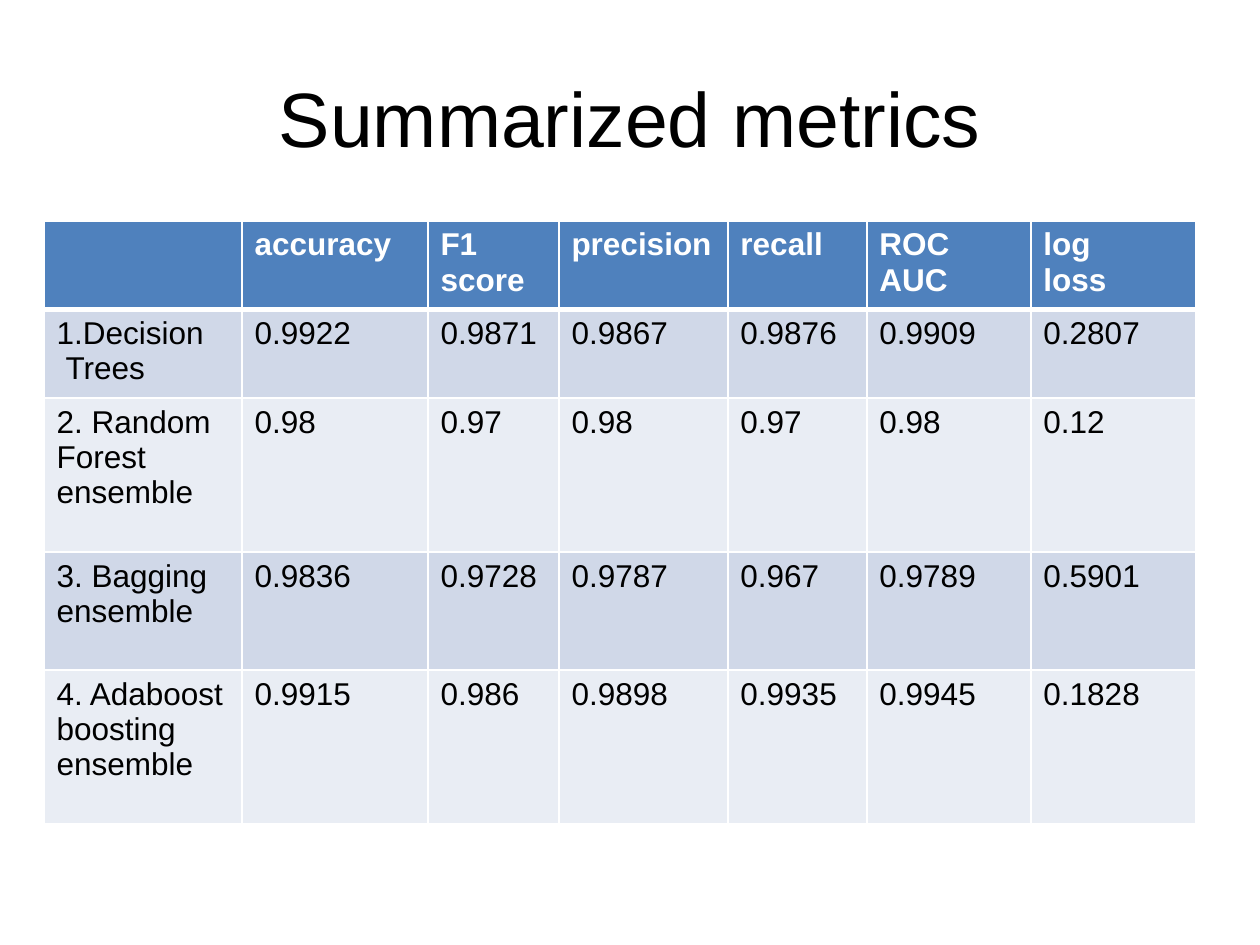
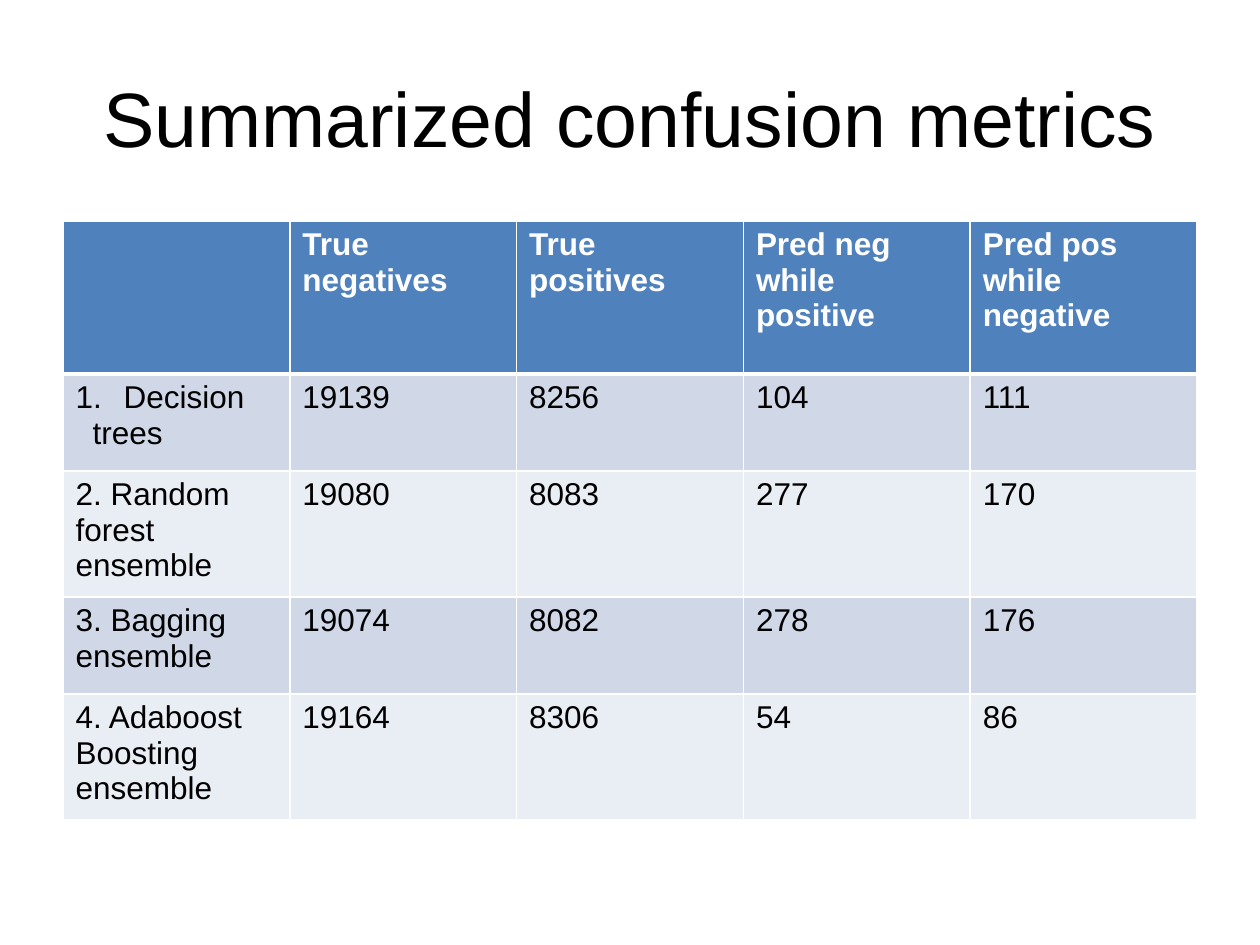
from lxml import etree
from pptx import Presentation
from pptx import util as u
from pptx.dml.color import RGBColor
from pptx.enum import text
from pptx.oxml import ns

PX = u.Inches(1) / 126
FONT = "Arial"
COLOURS = {
    "ink": "000000",
    "paper": "FFFFFF",
    "header": "4F81BD",
    "odd": "D0D8E8",
    "even": "E9EDF4",
}

METRICS = [
    ["", "accuracy", "F1 score", "precision", "recall", "ROC\nAUC", "log\nloss"],
    ["1.Decision\nTrees", "0.9922", "0.9871", "0.9867", "0.9876", "0.9909", "0.2807"],
    ["2. Random Forest ensemble", "0.98", "0.97", "0.98", "0.97", "0.98", "0.12"],
    ["3. Bagging ensemble", "0.9836", "0.9728", "0.9787", "0.967", "0.9789", "0.5901"],
    ["4. Adaboost boosting ensemble", "0.9915", "0.986", "0.9898", "0.9935", "0.9945", "0.1828"],
]
CONFUSION = [
    ["", "True\nnegatives", "True\npositives", "Pred neg while\npositive", "Pred pos while\nnegative"],
    ["Decision\ntrees", "19139", "8256", "104", "111"],
    ["2. Random forest ensemble", "19080", "8083", "277", "170"],
    ["3. Bagging\nensemble", "19074", "8082", "278", "176"],
    ["4. Adaboost\nBoosting\nensemble", "19164", "8306", "54", "86"],
]


def px(length):
    return u.Emu(round(length * PX))


def colour(name):
    return RGBColor.from_string(COLOURS[name])


class Slides:
    def __init__(self):
        self.deck = Presentation()
        self.deck.slide_width, self.deck.slide_height = px(1260), px(945)
        self.page = None

    def new_page(self, heading):
        self.page = self.deck.slides.add_slide(self.deck.slide_layouts[6])
        self.title(heading)

    def style(self, para, size, ink="ink", bold=False):
        para.font.name = FONT
        para.font.size = u.Pt(size)
        para.font.bold = bold
        para.font.color.rgb = colour(ink)

    def title(self, heading):
        box = self.page.shapes.add_textbox(px(63), px(38), px(1134), px(157))
        frame = box.text_frame
        frame.word_wrap = True
        frame.vertical_anchor = text.MSO_ANCHOR.MIDDLE
        frame.text = heading
        para = frame.paragraphs[0]
        para.alignment = text.PP_ALIGN.CENTER
        self.style(para, 44)

    def borders(self, cell, top, bottom):
        properties = cell._tc.get_or_add_tcPr()
        for side, width in (("L", 1), ("R", 1), ("T", top), ("B", bottom)):
            line = etree.SubElement(properties, ns.qn(f"a:ln{side}"), w=str(u.Pt(width)))
            fill = etree.SubElement(line, ns.qn("a:solidFill"))
            etree.SubElement(fill, ns.qn("a:srgbClr"), val=COLOURS["paper"])

    def indent(self, para, left, first=0):
        properties = para._p.get_or_add_pPr()
        properties.set("marL", str(px(left)))
        properties.set("indent", str(px(first)))
        return properties

    def number(self, para):
        properties = self.indent(para, 48, -48)
        bullet = etree.Element(ns.qn("a:buAutoNum"), type="arabicPeriod")
        properties.insert(0, bullet)

    def table(self, left, widths, heights, rows):
        frame = self.page.shapes.add_table(
            len(rows), len(widths), px(left), px(221), px(sum(widths)), px(sum(heights)))
        table = frame.table
        for column, width in zip(table.columns, widths):
            column.width = px(width)
        for index, (height, values) in enumerate(zip(heights, rows)):
            table.rows[index].height = px(height)
            header = index == 0
            band = "header" if header else ("even", "odd")[index % 2]
            for position, value in enumerate(values):
                cell = table.cell(index, position)
                cell.text = value
                self.borders(cell, 3 if index == 1 else 1, 3 if header else 1)
                cell.fill.solid()
                cell.fill.fore_color.rgb = colour(band)
                for para in cell.text_frame.paragraphs:
                    self.style(para, 18, "paper" if header else "ink", header)
        return table


def main():
    slides = Slides()

    slides.new_page("Summarized metrics")
    metrics = slides.table(
        44, [198, 186, 131, 169, 139, 164, 165], [82, 89, 154, 118, 154], METRICS)
    slides.indent(metrics.cell(1, 0).text_frame.paragraphs[1], 9)

    slides.new_page("Summarized confusion metrics")
    confusion = slides.table(63, [1134 / 5] * 5, [153, 97, 119, 97, 118], CONFUSION)
    first, second = confusion.cell(1, 0).text_frame.paragraphs
    slides.number(first)
    slides.indent(second, 17)

    slides.deck.save("out.pptx")


if __name__ == "__main__":
    main()
